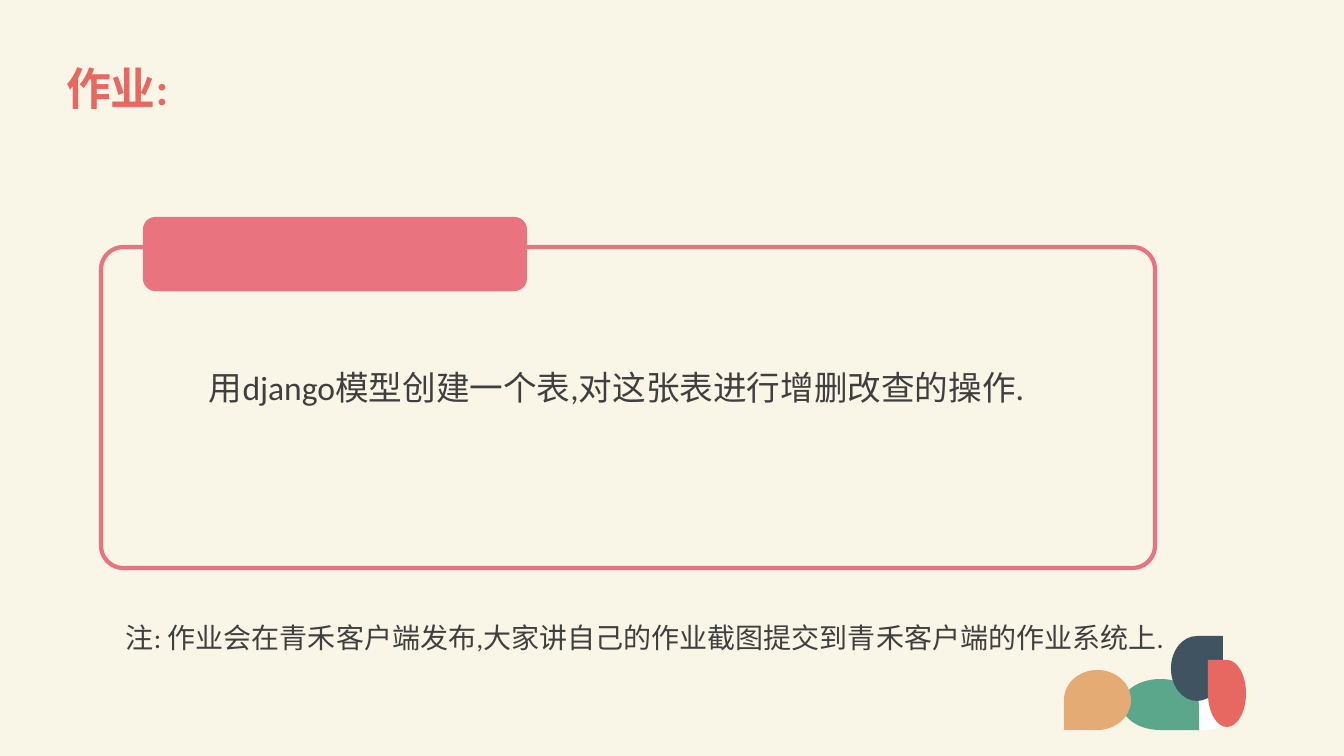
from lxml.etree import SubElement as Sub
from pptx import Presentation
from pptx.dml.color import RGBColor
from pptx.enum.shapes import MSO_SHAPE as Kind
from pptx.enum.text import MSO_ANCHOR as Anchor, PP_ALIGN as Align
from pptx.oxml.ns import qn
from pptx.util import Pt

SCALE = 914400 / 100.8
ROUND = 0.5523  # handle length of a quarter ellipse
INK, CORAL, PINK = "3F3F3F", "E76861", "E9737E"


def px(n):
    return round(n * SCALE)


def color(code):
    return RGBColor.from_string(code)


def place(shape, x, y, w, h):
    shape.left, shape.top, shape.width, shape.height = map(px, (x, y, w, h))


def write(frame, text, size=20, ink=INK, bold=False, space=1.0, anchor=Anchor.TOP):
    frame.word_wrap = True
    frame.vertical_anchor = anchor
    para = frame.paragraphs[0]
    para.alignment, para.line_spacing = Align.LEFT, space
    run = para.add_run()
    run.text = text
    font = run.font
    font.name, font.size, font.bold = "Calibri", Pt(size), bold
    font.color.rgb = color(ink)


def label(slide, box, text, **form):
    write(slide.shapes.add_textbox(*map(px, box)).text_frame, text, **form)


def paint(shape, fill=None, line=None):
    shape.shadow.inherit = False
    if fill:
        shape.fill.solid()
        shape.fill.fore_color.rgb = color(fill)
    else:
        shape.fill.background()
    if line:
        shape.line.color.rgb = color(line)
        shape.line.width = Pt(3)
    else:
        shape.line.fill.background()


def preset(slide, kind, box, **look):
    shape = slide.shapes.add_shape(kind, *map(px, box))
    paint(shape, **look)
    return shape


def petal(slide, box, turn, fill):
    """Draw an ellipse with one square corner; turn counts clockwise from bottom right."""
    x, y, w, h = map(px, box)
    mids = [(w // 2, h), (0, h // 2), (w // 2, 0), (w, h // 2)]
    ends = [(0, h), (0, 0), (w, 0), (w, h)]
    mids, ends = [row[turn:] + row[:turn] for row in (mids, ends)]
    pen = slide.shapes.build_freeform(*mids[0], scale=1.0)
    pen.add_line_segments(mids[1:] + ends[3:], close=True)
    shape = pen.convert_to_shape(x, y)
    paint(shape, fill=fill)
    # Bend the three sides away from the square corner
    sides = shape._element.xpath(".//a:lnTo")[:3]
    for side, start, end, stop in zip(sides, mids, ends, mids[1:]):
        side.tag = qn("a:cubicBezTo")
        side.clear()
        grips = [tuple(round(a + (b - a) * ROUND) for a, b in zip(dot, end))
                 for dot in (start, stop)]
        for dx, dy in grips + [stop]:
            Sub(side, qn("a:pt"), x=str(dx), y=str(dy))


def title(slide, box):
    head = slide.shapes.title
    place(head, *box)
    write(head.text_frame, "作业:", size=32, ink=CORAL, bold=True,
          space=0.9, anchor=Anchor.MIDDLE)


def decor(slide, box):
    x, y = box[:2]
    preset(slide, Kind.OVAL, (x + 109, y + 64, 60, 30), fill="FFFFFF")
    petals = [((58, 43, 77, 51), 0, "5BA78C"),
              ((107, 0, 52, 65), 3, "3F5361"),
              ((144, 24, 38, 67), 2, CORAL),
              ((0, 34, 67, 60), 1, "E5AB74")]
    for (dx, dy, w, h), turn, fill in petals:
        petal(slide, (x + dx, y + dy, w, h), turn, fill)


def task(slide, box):
    x, y = box[:2]
    # Outlined card with its tab
    card = preset(slide, Kind.ROUNDED_RECTANGLE, box, line=PINK)
    card.adjustments[0] = 0.07
    preset(slide, Kind.ROUNDED_RECTANGLE, (x + 42, y - 30, 384, 74), fill=PINK)
    # Assignment
    label(slide, (x + 98, y + 95, 834, 72),
          "用django模型创建一个表,对这张表进行增删改查的操作.", size=24, space=1.5)


def note(slide, box):
    label(slide, box, "注: 作业会在青禾客户端发布,大家讲自己的作业截图提交到青禾客户端的作业系统上.")


deck = Presentation()
deck.slide_width, deck.slide_height = px(1344), px(756)
slide = deck.slides.add_slide(deck.slide_layouts[5])
back = slide.background.fill
back.solid()
back.fore_color.rgb = color("F9F6E7")

title(slide, (56, 37, 1239, 107))
decor(slide, (1064, 636, 182, 94))
task(slide, (101, 247, 1054, 321))
note(slide, (116, 616, 1055, 44))

deck.save("out.pptx")
